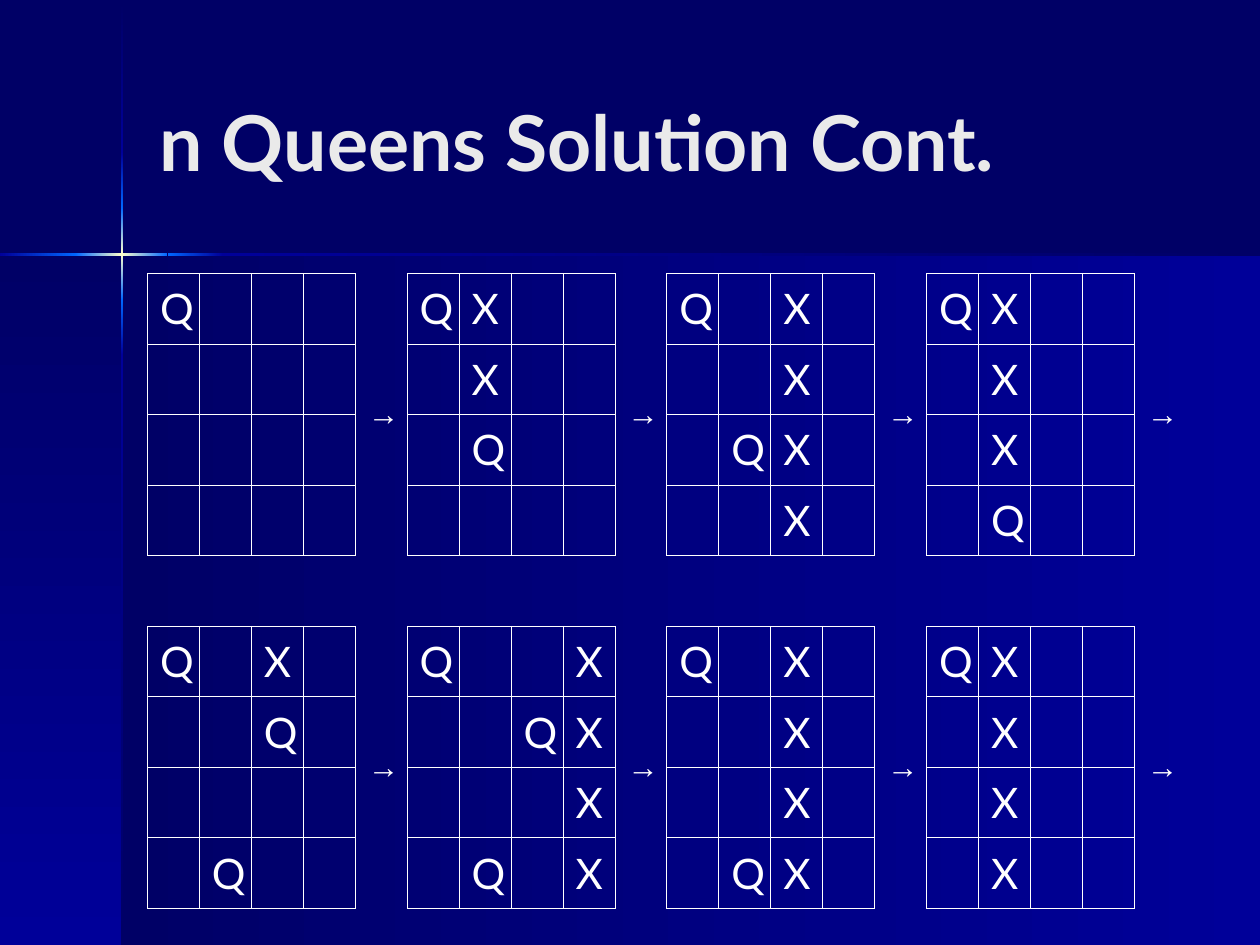
"""Build the n queens backtracking slide: two bands of four boards in one table."""
from lxml.etree import SubElement as Sub
from pptx import Presentation
from pptx.dml.color import RGBColor
from pptx.enum.shapes import MSO_SHAPE as Shape
from pptx.enum.text import MSO_ANCHOR as Anchor, PP_ALIGN as Align
from pptx.oxml.ns import qn
from pptx.util import Inches, Pt

NAVY = RGBColor(0x00, 0x00, 0x66)
BLUE = RGBColor(0x00, 0x00, 0x99)
AZURE = RGBColor(0x00, 0x66, 0xFF)
CREAM = RGBColor(0xFF, 0xFF, 0xCC)
PALE = RGBColor(0xEA, 0xEA, 0xEA)
WHITE = RGBColor(0xFF, 0xFF, 0xFF)

TITLE = "n Queens Solution Cont."
BANDS = [
    [("Q...", "....", "....", "...."),
     ("QX..", ".X..", ".Q..", "...."),
     ("Q.X.", "..X.", ".QX.", "..X."),
     ("QX..", ".X..", ".X..", ".Q..")],
    [("Q.X.", "..Q.", "....", ".Q.."),
     ("Q..X", "..QX", "...X", ".Q.X"),
     ("Q.X.", "..X.", "..X.", ".QX."),
     ("QX..", ".X..", ".X..", ".X..")],
]
SIZE = 4
STEP = SIZE + 1
ROWS, COLS = 2 * STEP - 1, 4 * STEP
ROW_H = 0.56

LEFT, DOWN = 180, 90
GLOW = (AZURE, CREAM, AZURE)
PANELS = [
    (0.97, 2.02, 9.03, 5.48, LEFT, (BLUE, NAVY)),
    (0, 2.02, 0.97, 5.48, DOWN, (NAVY, BLUE)),
    (0.96, 0.01, 0.02, 1.2, DOWN, (NAVY, BLUE)),
    (0.96, 2.82, 0.02, 4.68, DOWN, (BLUE, NAVY)),
    (1.77, 2.01, 8.23, 0.02, LEFT, (NAVY, BLUE)),
    (0.96, 2.38, 0.02, 0.44, DOWN, (AZURE, BLUE)),
    (0.96, 1.21, 0.02, 0.44, DOWN, (BLUE, AZURE)),
    (0.96, 1.65, 0.02, 0.73, DOWN, GLOW),
    (0, 2.01, 0.61, 0.02, LEFT, (AZURE, BLUE)),
    (1.33, 2.01, 0.44, 0.02, LEFT, (BLUE, AZURE)),
    (0.6, 2.01, 0.73, 0.02, LEFT, GLOW),
]
SIDES = {"a:lnL": (0, -1), "a:lnR": (0, 1), "a:lnT": (-1, 0), "a:lnB": (1, 0)}
PLAIN = "{2D5ABB26-0587-4C30-8999-92F81FD0307C}"


def paint(slide, x, y, w, h, angle, tints):
    box = slide.shapes.add_shape(Shape.RECTANGLE, *map(Inches, (x, y, w, h)))
    box.shadow.inherit = False
    box.line.fill.background()
    box.fill.gradient()
    box.fill.gradient_angle = 360 - angle
    stops = box.fill._fill._gradFill.find(qn("a:gsLst"))
    for stop in list(stops):
        stops.remove(stop)
    for i, tint in enumerate(tints):
        stop = Sub(stops, qn("a:gs"), pos=str(100000 * i // (len(tints) - 1)))
        Sub(stop, qn("a:srgbClr"), val=str(tint))


def style(para, name, size, color, bold=False):
    for run in para.runs:
        font = run.font
        font.name, font.size, font.bold = name, Pt(size), bold
        font.color.rgb = color


def write(cell, text, name, size, gap):
    cell.text_frame.text = text
    para = cell.text_frame.paragraphs[0]
    para.alignment = Align.CENTER
    para.space_before = Pt(gap)
    style(para, name, size, WHITE)


def board(r, c):
    inside = 0 <= r < ROWS and 0 <= c < COLS
    return inside and r % STEP < SIZE and c % STEP < SIZE


def rule(cell, r, c):
    props = cell._tc.get_or_add_tcPr()
    for tag, (dr, dc) in SIDES.items():
        if board(r, c) or board(r + dr, c + dc):
            line = Sub(props, qn(tag), w=str(Pt(0.45)))
            Sub(Sub(line, qn("a:solidFill")), qn("a:srgbClr"), val=str(WHITE))


def add_boards(slide):
    width = Inches(8.25)
    frame = slide.shapes.add_table(ROWS, COLS, Inches(1.17), Inches(2.17),
                                   width, Inches(ROW_H * ROWS))
    table = frame.table
    table.first_row = table.horz_banding = False
    table._tbl.tblPr.find(qn("a:tableStyleId")).text = PLAIN
    for col in table.columns:
        col.width = width // COLS
    for row in table.rows:
        row.height = Inches(ROW_H)
    for r in range(ROWS):
        for c in range(COLS):
            cell = table.cell(r, c)
            rule(cell, r, c)
            cell.fill.background()
            cell.vertical_anchor = Anchor.MIDDLE
            if board(r, c):
                mark = BANDS[r // STEP][c // STEP][r % STEP][c % STEP]
                if mark != ".":
                    write(cell, mark, "Lato", 24, 6)
            elif c % STEP == SIZE and r % STEP == 1:
                cell.merge(table.cell(r + 1, c))
                write(cell, "→", "Arial", 18, 4.5)


def main():
    deck = Presentation()
    deck.slide_width, deck.slide_height = Inches(10), Inches(7.5)
    slide = deck.slides.add_slide(deck.slide_layouts[6])
    slide.background.fill.solid()
    slide.background.fill.fore_color.rgb = NAVY
    for panel in PANELS:
        paint(slide, *panel)
    head = slide.shapes.add_textbox(*map(Inches, (1.17, 0.33, 8.25, 1.57)))
    text = head.text_frame
    text.word_wrap = True
    text.vertical_anchor = Anchor.MIDDLE
    text.text = TITLE
    style(text.paragraphs[0], "Lato", 44, PALE, True)
    add_boards(slide)
    deck.save("out.pptx")


if __name__ == "__main__":
    main()
